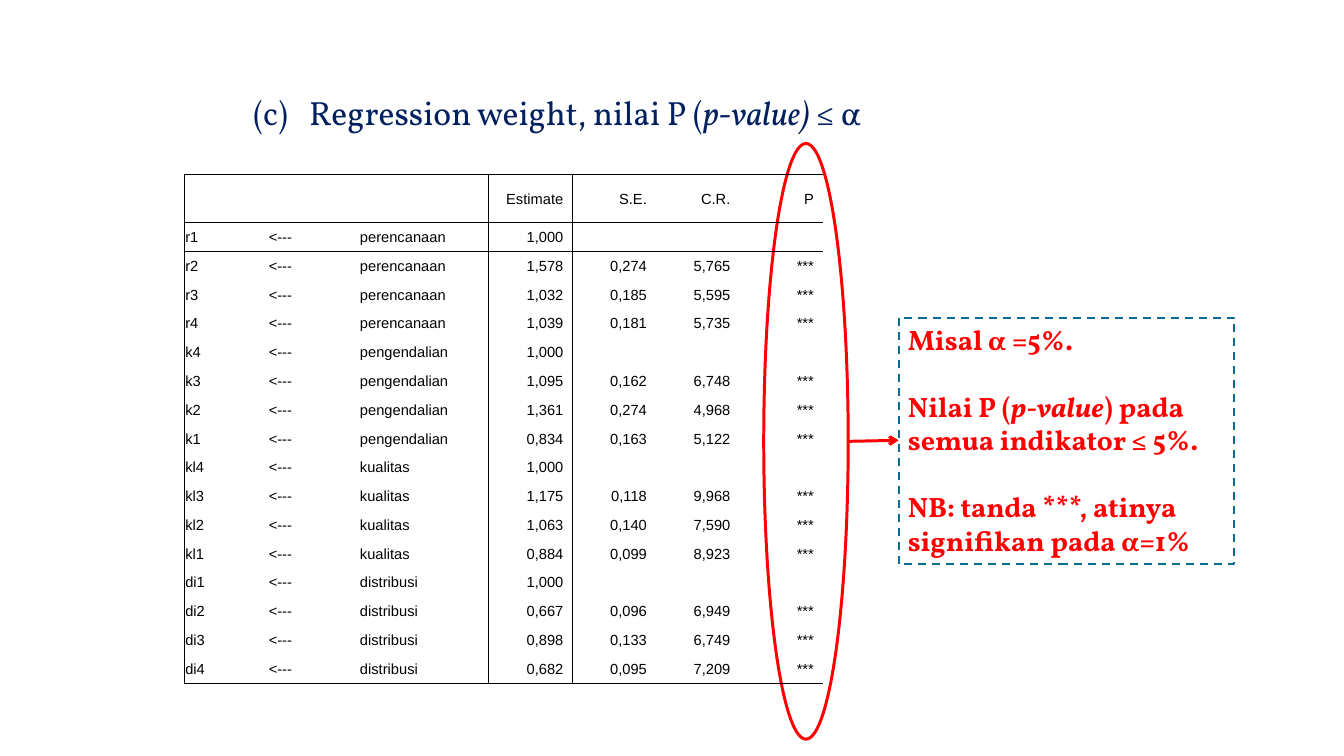
"""Build the regression weight slide with its table, highlight and note."""
from lxml.etree import SubElement
from pptx import Presentation
from pptx.dml.color import RGBColor
from pptx.enum.dml import MSO_LINE
from pptx.enum.shapes import MSO_CONNECTOR, MSO_SHAPE
from pptx.enum.text import MSO_ANCHOR, MSO_AUTO_SIZE, PP_ALIGN
from pptx.oxml.ns import qn
from pptx.util import Inches, Pt

HUES = {"red": "FF0000", "teal": "0A6B94", "navy": "002060", "black": "000000"}
SERIF = "Vollkorn"
PLAIN = "{2D5ABB26-0587-4C30-8999-92F81FD0307C}"
WIDTHS = [0.87, 0.87, 1.43, 0.87, 0.87, 0.87, 0.87]
HEAD = ["", "", "", "Estimate", "S.E.", "C.R.", "P"]
ROWS = """r1 <--- perencanaan 1,000
r2 <--- perencanaan 1,578 0,274 5,765 ***
r3 <--- perencanaan 1,032 0,185 5,595 ***
r4 <--- perencanaan 1,039 0,181 5,735 ***
k4 <--- pengendalian 1,000
k3 <--- pengendalian 1,095 0,162 6,748 ***
k2 <--- pengendalian 1,361 0,274 4,968 ***
k1 <--- pengendalian 0,834 0,163 5,122 ***
kl4 <--- kualitas 1,000
kl3 <--- kualitas 1,175 0,118 9,968 ***
kl2 <--- kualitas 1,063 0,140 7,590 ***
kl1 <--- kualitas 0,884 0,099 8,923 ***
di1 <--- distribusi 1,000
di2 <--- distribusi 0,667 0,096 6,949 ***
di3 <--- distribusi 0,898 0,133 6,749 ***
di4 <--- distribusi 0,682 0,095 7,209 ***"""
TITLE = [("(c)\tRegression weight, nilai P (", False), ("p-value) ", True), ("≤ α", False)]
NOTE = [
    [("Misal α =5%.", False)],
    [("Nilai P (", False), ("p-value", True), (") pada semua indikator ≤ 5%.", False)],
    [("NB: tanda ***, atinya signifikan pada α=1%", False)],
]


def hue(name):
    return RGBColor.from_string(HUES[name])


def put(item, **vals):
    for key, val in vals.items():
        setattr(item, key, val)


def place(item, *box):
    put(item, **dict(zip(("left", "top", "width", "height"), map(Inches, box))))


def write(para, runs, tint, **font):
    for text, slant in runs:
        run = para.add_run()
        run.text = text
        put(run.font, italic=slant, **font)
        run.font.color.rgb = hue(tint)


def stroke(line, tint, width):
    line.color.rgb = hue(tint)
    line.width = Pt(width)


def add_title(slide):
    title = slide.shapes.title
    place(title, 2.54, 0.91, 9.71, 0.53)
    put(title.text_frame, word_wrap=True, vertical_anchor=MSO_ANCHOR.TOP,
        auto_size=MSO_AUTO_SIZE.SHAPE_TO_FIT_TEXT)
    para = title.text_frame.paragraphs[0]
    para.alignment = PP_ALIGN.LEFT
    props = para._p.get_or_add_pPr()
    props.set("marL", str(Inches(0.58)))
    props.set("indent", str(-Inches(0.58)))
    write(para, TITLE, "navy", name=SERIF, size=Pt(25.2))


def add_shape(slide, kind, box, tint, width):
    shape = slide.shapes.add_shape(kind, *map(Inches, box))
    shape.shadow.inherit = False
    shape.fill.background()
    stroke(shape.line, tint, width)
    return shape


def add_note(slide):
    note = add_shape(slide, MSO_SHAPE.RECTANGLE, (9.36, 3.31, 3.5, 2.57), "teal", 1.5)
    note.line.dash_style = MSO_LINE.DASH
    frame = note.text_frame
    put(frame, word_wrap=True, vertical_anchor=MSO_ANCHOR.TOP,
        auto_size=MSO_AUTO_SIZE.SHAPE_TO_FIT_TEXT)
    for num, runs in enumerate(NOTE):
        para = frame.add_paragraph() if num else frame.paragraphs[0]
        put(para, alignment=PP_ALIGN.LEFT, space_before=Pt(25 if num else 0))
        write(para, runs, "red", name=SERIF, size=Pt(21), bold=True)


def add_arrow(slide):
    ends = map(Inches, (9.36, 4.59, 8.84, 4.6))
    arrow = slide.shapes.add_connector(MSO_CONNECTOR.STRAIGHT, *ends)
    stroke(arrow.line, "red", 2.25)
    SubElement(arrow.line._get_or_add_ln(), qn("a:headEnd"), type="arrow")
    SubElement(arrow._element.spPr, qn("a:effectLst"))


def add_edges(cell, sides):
    props = cell._tc.get_or_add_tcPr()
    for side in sides:
        line = SubElement(props, qn("a:ln" + side), w=str(Pt(0.5)))
        fill = SubElement(line, qn("a:solidFill"))
        SubElement(fill, qn("a:srgbClr"), val=HUES["black"])


def fill_cell(cell, text, col, sides):
    add_edges(cell, sides)
    cell.fill.background()
    right = col > 2
    put(cell, vertical_anchor=MSO_ANCHOR.MIDDLE, margin_top=Inches(0.01), margin_bottom=0,
        margin_left=Inches(0.09 if col == 2 else 0.01),
        margin_right=Inches(0.09 if right else 0.01))
    para = cell.text_frame.paragraphs[0]
    para.alignment = PP_ALIGN.RIGHT if right else PP_ALIGN.LEFT
    if text:
        write(para, [(text, False)], "black", name="Arial", size=Pt(11))
    SubElement(para._p, qn("a:endParaRPr"), sz="1100")


def add_grid(slide):
    rows = [HEAD] + [line.split() for line in ROWS.splitlines()]
    last = len(rows) - 1
    box = map(Inches, (1.92, 1.82, sum(WIDTHS), 0.5 + 0.3 * last))
    table = slide.shapes.add_table(len(rows), len(WIDTHS), *box).table
    put(table, first_row=False, horz_banding=False)
    table._tbl.tblPr.find(qn("a:tableStyleId")).text = PLAIN
    for col, width in enumerate(WIDTHS):
        table.columns[col].width = Inches(width)
    for row, texts in enumerate(rows):
        table.rows[row].height = Inches(0.3 if row else 0.5)
        for col in range(len(WIDTHS)):
            tests = {"L": col in (0, 3), "R": col == 2, "T": row < 2, "B": row in (0, last)}
            sides = [side for side, drawn in tests.items() if drawn]
            text = texts[col] if col < len(texts) else ""
            fill_cell(table.cell(row, col), text, col, sides)


def main():
    deck = Presentation()
    put(deck, slide_width=Inches(14), slide_height=Inches(7.88))
    slide = deck.slides.add_slide(deck.slide_layouts[5])
    add_title(slide)
    ring = add_shape(slide, MSO_SHAPE.OVAL, (5.29, 4.16, 6.21, 0.88), "red", 2.25)
    ring.rotation = 90
    add_note(slide)
    add_arrow(slide)
    add_grid(slide)
    deck.save("out.pptx")


if __name__ == "__main__":
    main()
